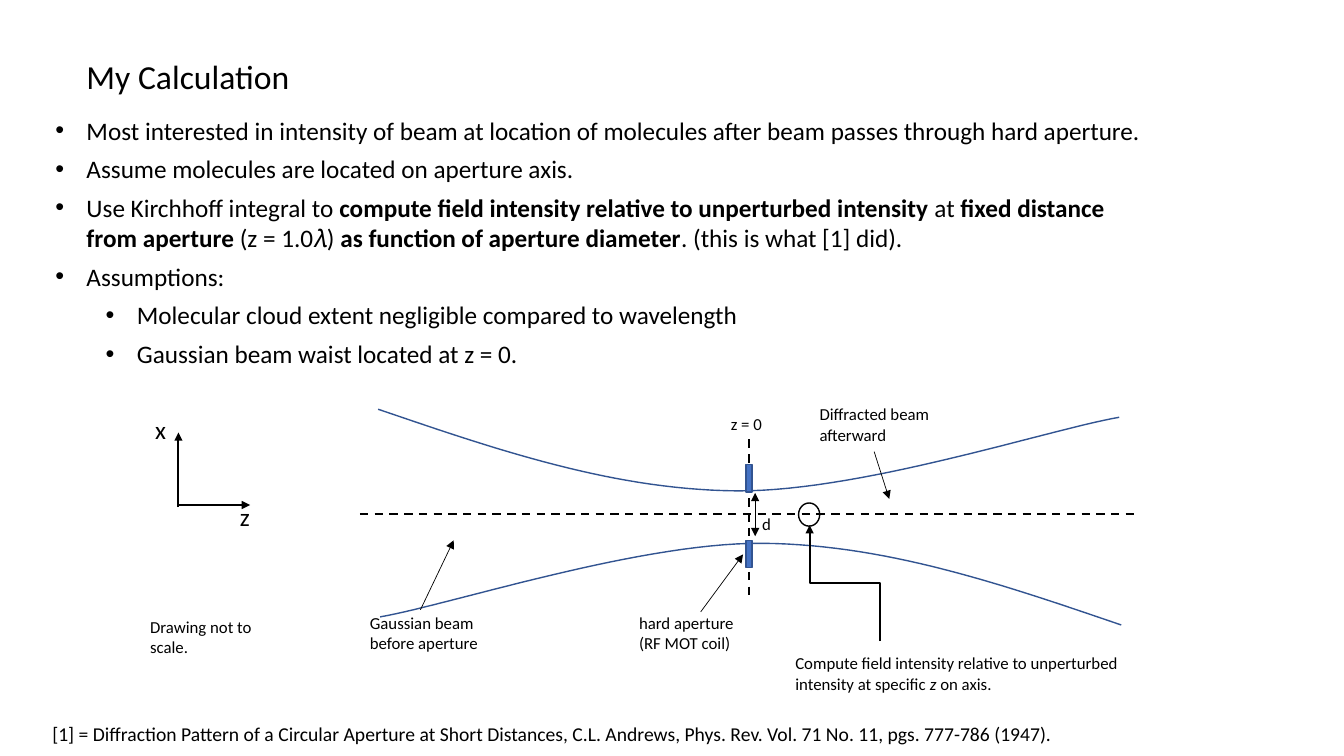
from lxml.etree import SubElement
from pptx import Presentation
from pptx.dml.color import RGBColor
from pptx.enum.dml import MSO_LINE
from pptx.enum.shapes import MSO_CONNECTOR as CONN, MSO_SHAPE as SHAPE
from pptx.enum.text import MSO_AUTO_SIZE as FIT
from pptx.oxml.ns import qn
from pptx.util import Inches, Pt

BLACK = RGBColor(0x00, 0x00, 0x00)
BLUE = RGBColor(0x44, 0x72, 0xC4)
NAVY = RGBColor(0x32, 0x54, 0x91)
FONT = "Calibri"
ROWS = 75
INDENT = Inches(0.31)
LEVEL_STEP = Inches(0.5)

BULLETS = [
    (0, "Most interested in intensity of beam at location of molecules after beam passes through hard aperture."),
    (0, "Assume molecules are located on aperture axis."),
    (0, "Use Kirchhoff integral to *compute field intensity relative to unperturbed intensity* at "
        "*fixed distance from aperture *(z = 1.0𝜆)* as function of aperture diameter*. (this is what [1] did)."),
    (0, "Assumptions:"),
    (1, "Molecular cloud extent negligible compared to wavelength"),
    (1, "Gaussian beam waist located at z = 0."),
]
NOTES = [
    ("hard aperture (RF MOT coil)", 62.4, 60.3, 13.7),
    ("Gaussian beam before aperture", 35.7, 60.3, 13.7),
    ("Diffracted beam afterward", 80.3, 39.6, 13.7),
    ("Drawing not to scale.", 13.9, 60.7, 13.7),
    ("Compute field intensity relative to unperturbed intensity at specific *z *on axis.", 77.9, 64.3, 34.3),
]
LABELS = [
    ("d", 74.6, 50.5, 2.7, 3.5, 12),
    ("z = 0", 71.5, 40.6, 6.7, 3.5, 12),
    ("x", 14.4, 40.6, 3.3, 4.6, 18),
    ("z", 22.8, 49.2, 3.3, 4.6, 18),
]
POINTERS = [
    (69.5, 60.7, 73.7, 55),
    (41.7, 60.5, 45, 53.6),
    (86.7, 44.8, 88.2, 49.5),
]
AXES = [(17.7, 50.3, 17.7, 42.9), (17.7, 50.1, 24.8, 50.1)]
DASHES = [(74.3, 43.6, 74.3, 59), (35.7, 51, 112.7, 51)]
BEAM = [
    [(37.5, 40.6), (49.2, 44.6), (60.8, 48.6), (73.1, 48.7)],
    [(73.1, 48.7), (85.3, 48.8), (104.1, 42.6), (111, 41.4)],
]
TURN_X, TURN_Y = 148.7, 102.6


def bezier(curve, t):
    weights = ((1 - t) ** 3, 3 * t * (1 - t) ** 2, 3 * t * t * (1 - t), t ** 3)
    return tuple(sum(w * pt[axis] for w, pt in zip(weights, curve)) for axis in (0, 1))


class Sketch:
    def __init__(self, prs):
        self.slide = prs.slides.add_slide(prs.slide_layouts[6])
        self.shapes = self.slide.shapes
        self.cell = prs.slide_height / ROWS

    def grid(self, *cells):
        return [round(c * self.cell) for c in cells]

    def text(self, paragraphs, x, y, w, h, size=12, wrap=True, bullets=False, italic=False):
        tf = self.shapes.add_textbox(*self.grid(x, y, w, h)).text_frame
        tf.word_wrap = wrap
        tf.auto_size = FIT.SHAPE_TO_FIT_TEXT
        for i, (level, content) in enumerate(paragraphs):
            p = tf.add_paragraph() if i else tf.paragraphs[0]
            if bullets:
                self.bullet(p, level)
            for j, part in enumerate(content.split("*")):
                r = p.add_run()
                r.text = part
                r.font.name, r.font.size = FONT, Pt(size)
                r.font.color.rgb = BLACK
                if j % 2:
                    r.font.italic, r.font.bold = italic, not italic

    def bullet(self, p, level):
        p.level = level
        p.space_after = Pt(6)
        pPr = p._p.get_or_add_pPr()
        pPr.set("marL", str(INDENT + level * LEVEL_STEP))
        pPr.set("indent", str(-INDENT))
        SubElement(pPr, qn("a:buFont"), typeface="Arial")
        SubElement(pPr, qn("a:buChar"), char="•")

    def line(self, x1, y1, x2, y2, width, dash=False, ends=(), kind=CONN.STRAIGHT):
        c = self.shapes.add_connector(kind, *self.grid(x1, y1, x2, y2))
        c.line.color.rgb = BLACK
        c.line.width = Pt(width)
        if dash:
            c.line.dash_style = MSO_LINE.DASH
        ln = c.line._get_or_add_ln()
        for end in ends:
            SubElement(ln, qn("a:" + end), type="triangle")
        SubElement(c._element.spPr, qn("a:effectLst"))
        return c

    def elbow_up(self, x1, y1, x2, y2, width):
        mid_x, mid_y = (x1 + x2) / 2, (y1 + y2) / 2
        half_w, half_h = (y1 - y2) / 2, (x1 - x2) / 2
        c = self.line(mid_x - half_w, mid_y + half_h, mid_x + half_w, mid_y - half_h,
                      width, ends=["tailEnd"], kind=CONN.ELBOW)
        c._element.spPr.find(qn("a:xfrm")).set("rot", str(270 * 60000))

    def outline(self, sp, color, fill=None):
        sp.shadow.inherit = False
        sp.line.color.rgb = color
        sp.line.width = Pt(1)
        if fill is None:
            sp.fill.background()
        else:
            sp.fill.solid()
            sp.fill.fore_color.rgb = fill

    def shape(self, kind, x, y, w, h, color, fill=None):
        sp = self.shapes.add_shape(kind, *self.grid(x, y, w, h))
        self.outline(sp, color, fill)

    def curve(self, points, color):
        start, *rest = [self.grid(*pt) for pt in points]
        builder = self.shapes.build_freeform(*start)
        builder.add_line_segments(rest, close=False)
        self.outline(builder.convert_to_shape(), color)


def main():
    prs = Presentation()
    prs.slide_width, prs.slide_height = Inches(13.33), Inches(7.5)
    s = Sketch(prs)

    s.text([(0, "My Calculation")], 7.6, 5.1, 97, 5, size=24)
    s.text(BULLETS, 4.5, 10.9, 110.6, 26.4, size=18, bullets=True)

    steps = 30
    upper = [bezier(BEAM[0], 0)] + [bezier(c, i / steps) for c in BEAM for i in range(1, steps + 1)]
    lower = [(TURN_X - x, TURN_Y - y) for x, y in upper]
    for edge in (upper, lower):
        s.curve(edge, NAVY)

    for dash in DASHES:
        s.line(*dash, 1.5, dash=True)
    for top in (46.1, 53.6):
        s.shape(SHAPE.RECTANGLE, 74, top, 0.6, 2.7, NAVY, BLUE)
    s.line(74.9, 48.9, 74.9, 53.2, 0.5, ends=["headEnd", "tailEnd"])
    for pointer in POINTERS:
        s.line(*pointer, 0.5, ends=["tailEnd"])
    for axis in AXES:
        s.line(*axis, 1.5, ends=["tailEnd"])
    s.elbow_up(87.3, 63.6, 80.3, 52.1, 1.5)
    s.shape(SHAPE.OVAL, 79.2, 49.9, 2.1, 2.3, BLACK)

    for content, x, y, w in NOTES:
        s.text([(0, content)], x, y, w, 5.8, italic=True)
    for content, x, y, w, h, size in LABELS:
        s.text([(0, content)], x, y, w, h, size=size, wrap=False)
    s.text([(0, "[1] = Diffraction Pattern of a Circular Aperture at Short Distances, C.L. Andrews, "
                "Phys. Rev. Vol. 71 No. 11, pgs. 777-786 (1947).")], 4.2, 71.1, 105.1, 3.4, size=14)
    prs.save("out.pptx")


if __name__ == "__main__":
    main()
